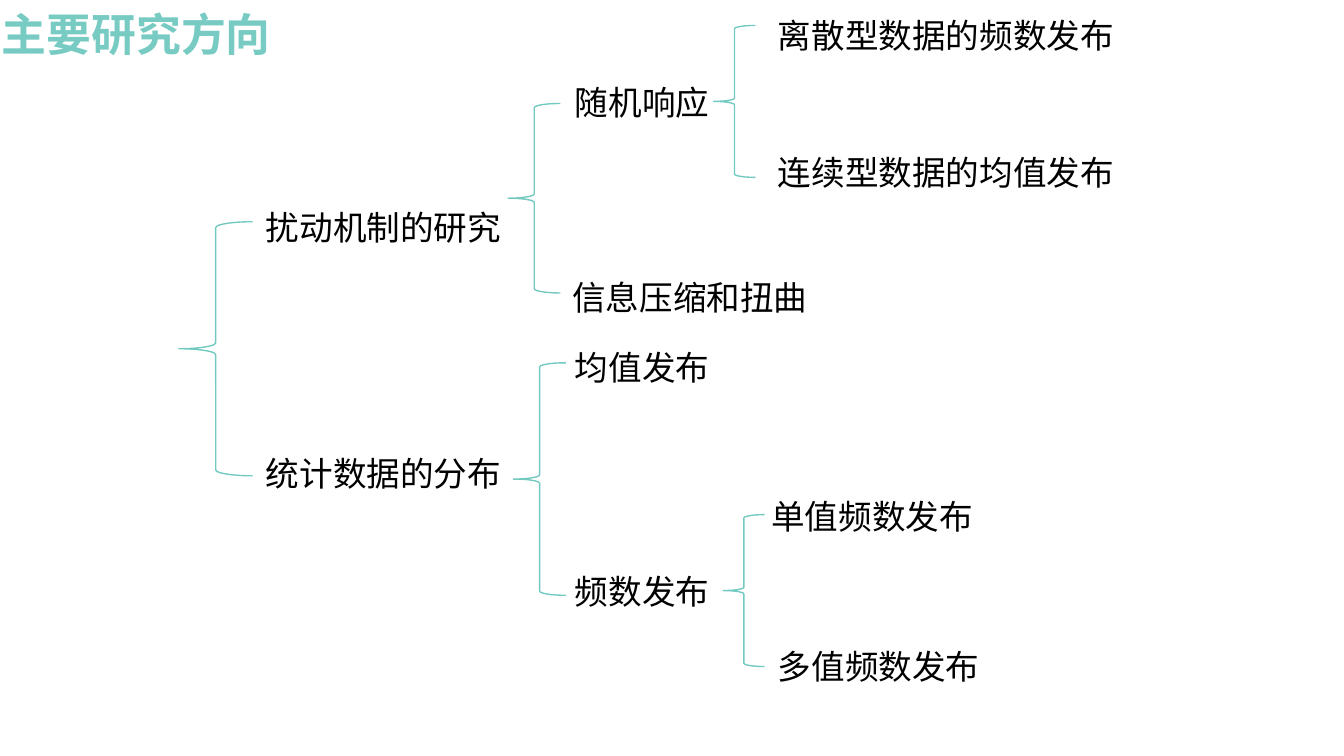
from lxml.etree import SubElement
from pptx import Presentation
from pptx.dml.color import RGBColor
from pptx.enum.shapes import MSO_SHAPE
from pptx.enum.text import PP_ALIGN
from pptx.oxml.ns import qn
from pptx.util import Inches, Pt

THEME = {
    "title": {"size": 24, "font": "Noto Sans CJK SC", "color": "77CBC3", "bold": True},
    "label": {"size": 18, "font": "Calibri", "color": "000000"},
    "brace": {"color": "72C9C0", "width": 0.75, "curl": 0.08},
}
WIDTH = 10
HEIGHT = WIDTH * 9 / 16
ROW = 0.4

TITLE = ("主要研究方向", -0.2, 0, 2.43, 0.5)

# Each branch: brace box, then its labels as (text, left, top, width)
TREE = [
    ((1.33, 1.65, 0.55, 1.89), [
        ("扰动机制的研究", 1.88, 1.49, 2.1),
        ("统计数据的分布", 1.88, 3.32, 2.1),
    ]),
    ((3.78, 0.77, 0.39, 1.41), [
        ("随机响应", 4.18, 0.56, 1.36),
        ("信息压缩和扭曲", 4.16, 2.01, 2),
    ]),
    ((5.31, 0.19, 0.31, 1.13), [
        ("离散型数据的频数发布", 5.69, 0.06, 2.76),
        ("连续型数据的均值发布", 5.69, 1.08, 2.81),
    ]),
    ((3.82, 2.7, 0.39, 1.73), [
        ("均值发布", 4.18, 2.53, 1.36),
        ("频数发布", 4.18, 4.2, 1.36),
    ]),
    ((5.38, 3.83, 0.31, 1.13), [
        ("单值频数发布", 5.64, 3.64, 1.8),
        ("多值频数发布", 5.69, 4.76, 1.75),
    ]),
]


def add_text(slide, text, box, size, font, color, bold=False, align=PP_ALIGN.LEFT):
    frame = slide.shapes.add_textbox(*map(Inches, box)).text_frame
    frame.word_wrap = True
    line = frame.paragraphs[0]
    line.alignment = align
    run = line.add_run()
    run.text = text
    run.font.size = Pt(size)
    run.font.bold = bold
    run.font.color.rgb = RGBColor.from_string(color)
    run.font.name = font
    # Chinese text takes its face from the East Asian font
    SubElement(run.font._element, qn("a:ea")).set("typeface", font)


def add_brace(slide, box, color, width, curl):
    brace = slide.shapes.add_shape(MSO_SHAPE.LEFT_BRACE, *map(Inches, box))
    brace.adjustments[0] = curl
    brace.shadow.inherit = False
    brace.fill.background()
    brace.line.color.rgb = RGBColor.from_string(color)
    brace.line.width = Pt(width)


def main():
    deck = Presentation()
    deck.slide_width, deck.slide_height = Inches(WIDTH), Inches(HEIGHT)
    slide = deck.slides.add_slide(deck.slide_layouts[6])

    text, *box = TITLE
    add_text(slide, text, box, align=PP_ALIGN.CENTER, **THEME["title"])
    for box, labels in TREE:
        add_brace(slide, box, **THEME["brace"])
        for text, left, top, width in labels:
            add_text(slide, text, (left, top, width, ROW), **THEME["label"])

    deck.save("out.pptx")


if __name__ == "__main__":
    main()
